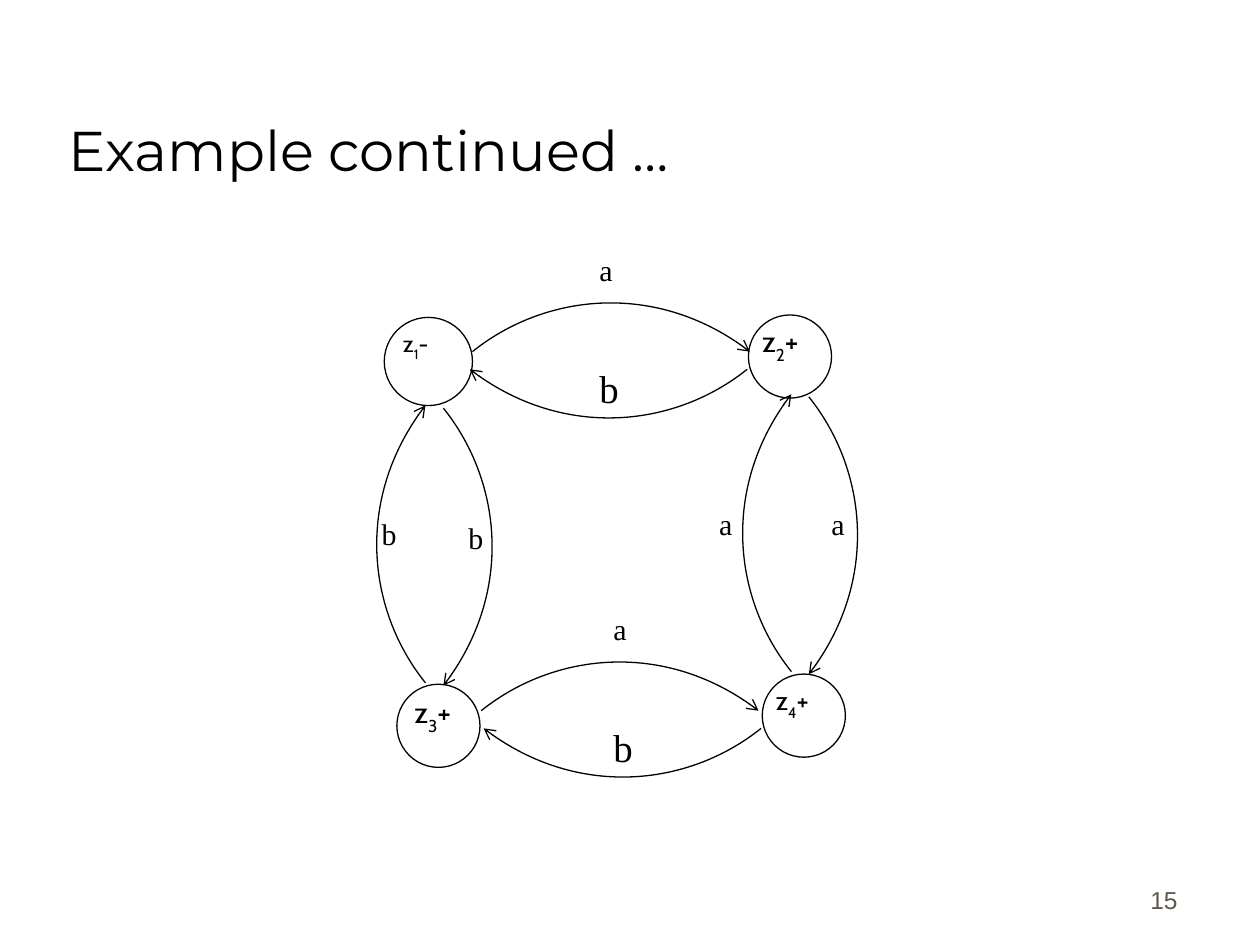
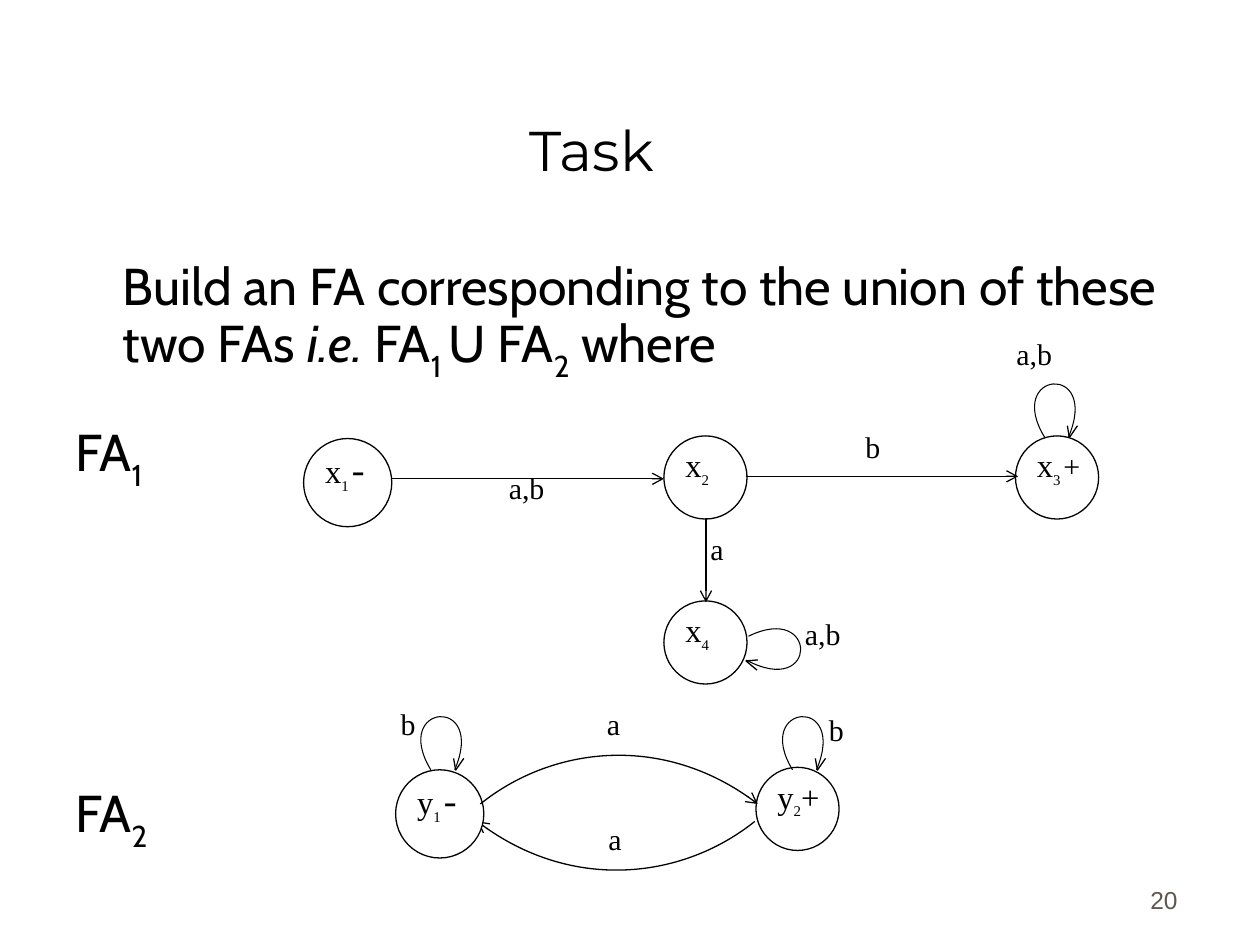
from dataclasses import dataclass
from math import cos, radians, sin

from lxml.etree import SubElement
from pptx import Presentation
from pptx.dml.color import RGBColor as Color
from pptx.enum.shapes import MSO_CONNECTOR as Link, MSO_SHAPE as Kind
from pptx.enum.text import MSO_ANCHOR as Anchor, MSO_AUTO_SIZE as Fit, PP_ALIGN as Align
from pptx.oxml.ns import qn
from pptx.util import Pt


@dataclass(frozen=True)
class Theme:
    ink: Color = Color(0, 0, 0)
    paper: Color = Color(255, 255, 255)
    grey: Color = Color(0x5E, 0x57, 0x4E)
    head: str = "Montserrat"
    body: str = "Cabin"
    serif: str = "Times New Roman"
    foot: str = "Arial"
    title: float = 32
    lead: float = 29.6
    big: float = 22.2
    state: float = 18.6
    edge: float = 17.1
    index: float = 14.7
    page: float = 14
    gap: float = 10.1
    line: float = 0.75
    thin: float = 0.6


T = Theme()

# Offsets from the starting point, heading right
ARC = [(0, 0), (40.5, -32.5), (106, -40.5), (158.5, 0)]
LOOP = [(0, 0), (-23, -38), (32, -43), (13.7, 0)]
BARB = [(18.8, -6.5), (14.2, 0.2), (13, -6.5)]
RIGHT, DOWN, LEFT, UP = 0, 90, 180, 270
BIG, SMALL = 50.4, 47.5


def write(para, runs, font=T.serif, size=T.edge, color=T.ink,
          align=Align.LEFT, pitch=0.8, before=0):
    """Fill a paragraph; a run is a string or a (string, changes) pair."""
    para.alignment = align
    para.line_spacing = pitch
    para.space_before = Pt(before)
    for item in runs:
        words, change = (item, {}) if isinstance(item, str) else item
        run = para.add_run()
        run.text = words
        run.font.name = change.get("font", font)
        run.font.size = Pt(change.get("size", size))
        run.font.italic = change.get("italic", False)
        run.font.color.rgb = color
        if change.get("sub"):
            run._r.get_or_add_rPr().set("baseline", "-30000")


def sub(words, **change):
    return words, {"sub": True, **change}


def frame(slide, x, y, wide, high, anchor=Anchor.TOP):
    box = slide.shapes.add_textbox(Pt(x), Pt(y), Pt(wide), Pt(high)).text_frame
    box.word_wrap = True
    box.vertical_anchor = anchor
    return box


def label(slide, x, y, runs, **look):
    write(frame(slide, x, y, 72, 30).paragraphs[0], runs, **look)


def start(deck, title, page, align=Align.LEFT):
    """Add a slide with its title and page number."""
    slide = deck.slides.add_slide(deck.slide_layouts[5])
    head = slide.shapes.title
    head.left, head.top, head.width, head.height = Pt(32), Pt(18), Pt(612), Pt(90)
    head.text_frame.auto_size = Fit.NONE
    head.text_frame.vertical_anchor = Anchor.BOTTOM
    write(head.text_frame.paragraphs[0], [title], font=T.head, size=T.title,
          align=align, pitch=1)
    foot = frame(slide, 530, 490.3, 150, 36, Anchor.BOTTOM)
    write(foot.paragraphs[0], [page], font=T.foot, size=T.page, color=T.grey,
          align=Align.RIGHT, pitch=1)
    return slide


def stroke(shape, width=T.line, arrow=False):
    shape.line.color.rgb = T.ink
    shape.line.width = Pt(width)
    if arrow:
        SubElement(shape.element.spPr.find(qn("a:ln")), qn("a:tailEnd"), type="arrow")


def ring(slide, x, y, size):
    disc = slide.shapes.add_shape(Kind.OVAL, Pt(x), Pt(y), Pt(size), Pt(size))
    disc.shadow.inherit = False
    disc.fill.solid()
    disc.fill.fore_color.rgb = T.paper
    stroke(disc)


def trace(slide, x, y, steps, turn):
    """Draw an open outline through the offsets, turned clockwise about (x, y)."""
    c, s = cos(radians(turn)), sin(radians(turn))
    spots = [(Pt(x + a * c - b * s), Pt(y + a * s + b * c)) for a, b in steps]
    pen = slide.shapes.build_freeform(*spots[0], scale=1.0)
    pen.add_line_segments(spots[1:], close=False)
    shape = pen.convert_to_shape()
    shape.shadow.inherit = False
    shape.fill.background()
    return shape


def bend(shape):
    """Turn the three line segments of an outline into one cubic curve."""
    legs = list(shape.element.iter(qn("a:lnTo")))
    curve = SubElement(legs[0].getparent(), qn("a:cubicBezTo"))
    for leg in legs:
        curve.append(leg[0])
        leg.getparent().remove(leg)


def arc(slide, x, y, turn):
    shape = trace(slide, x, y, ARC, turn)
    bend(shape)
    stroke(shape, arrow=True)


def loop(slide, x, y, turn=0):
    shape = trace(slide, x, y, LOOP, turn)
    bend(shape)
    stroke(shape, T.thin)
    stroke(trace(slide, x, y, BARB, turn))


def arrow(slide, x1, y1, x2, y2):
    line = slide.shapes.add_connector(Link.STRAIGHT, Pt(x1), Pt(y1), Pt(x2), Pt(y2))
    stroke(line, arrow=True)
    SubElement(line.element.spPr, qn("a:effectLst"))


def cycle(deck):
    slide = start(deck, "Example continued …", "15")
    for x, y, size in [(219.6, 181.4, BIG), (427.7, 180, SMALL),
                       (226.8, 391, SMALL), (435.6, 385.2, SMALL)]:
        ring(slide, x, y, size)
    for x, y, turn in [(270, 200.9, RIGHT), (427, 211, LEFT),
                       (275, 406.1, RIGHT), (434.9, 416.2, LEFT),
                       (243.1, 390.2, UP), (253.4, 233.3, DOWN),
                       (452.2, 383.8, UP), (462.2, 226.8, DOWN)]:
        arc(slide, x, y, turn)
    for x, y, name in [(335.5, 144, "a"), (343.4, 349.2, "a"),
                       (211, 295.2, "b"), (260.6, 297.4, "b"),
                       (403.9, 289.4, "a"), (468, 289.4, "a")]:
        label(slide, x, y, [name])
    for x, y in [(335.5, 208.1), (343.4, 413.3)]:
        label(slide, x, y, ["b"], size=T.big, pitch=0.9)
    for x, y, num, sign, size in [(223.2, 185.8, "1", "-", 13.2),
                                  (428.4, 182.9, "2", "+", 16.8),
                                  (229.7, 394.6, "3", "+", 16.8),
                                  (436.3, 388.8, "4", "+", 15)]:
        label(slide, x, y, ["z", sub(num), sign], font=T.body, size=size)


def brief(slide):
    box = frame(slide, 36, 148.3, 643.7, 328.3)
    task = ["Build an FA corresponding to the union of these two FAs ",
            ("i.e. ", {"italic": True}), "FA", sub("1 "), "U FA", sub("2"), " where"]
    look = {"font": T.body, "size": T.lead}
    write(box.paragraphs[0], task, **look)
    box.paragraphs[0]._p.get_or_add_pPr().set("marL", str(Pt(27)))
    for num, before in [("1", 28.8), ("2", 172.8)]:
        write(box.add_paragraph(), ["FA", sub(num)], before=before, **look)


def union(deck):
    slide = start(deck, "Task", "20", Align.CENTER)
    brief(slide)
    arc(slide, 431.3, 469.4, LEFT)

    gap = sub(" ", size=T.gap)
    minus = ("-", {"font": T.body})
    for x, y, size, name, num, sign in [
            (173.5, 250.6, BIG, "x", "1", [gap, minus]),
            (379.4, 249.1, SMALL, "x", "2", []),
            (580.3, 249.1, SMALL, "x", "3", [gap, ("+", {"size": T.edge})]),
            (379.4, 343.4, SMALL, "x", "4", []),
            (226.1, 439.9, BIG, "y", "1", [gap, minus]),
            (432, 438.5, SMALL, "y", "2", ["+"])]:
        ring(slide, x, y, size)
        label(slide, x + 5.2, y + 4.6 + (size == BIG) * 1.8,
              [name, sub(num, size=T.index), *sign], size=T.state)

    arrow(slide, 223.5, 273.6, 379.4, 273.6)
    arrow(slide, 426.5, 272.2, 581.8, 272.2)
    arrow(slide, 403.4, 296, 403.4, 344.2)
    arc(slide, 274.5, 459.4, RIGHT)
    loop(slide, 596.9, 249.8)
    loop(slide, 427.7, 363.6, 95)
    loop(slide, 246.2, 439.9)
    loop(slide, 452.9, 439.9)

    for x, y, name in [(573.8, 192.2, "a,b"), (487.4, 245.5, "b"),
                       (283.7, 268.6, "a,b"), (452.9, 352.1, "a,b"),
                       (398.9, 303.8, "a"), (339.8, 403.9, "a"),
                       (340.6, 469.4, "a"), (466.6, 406.8, "b"),
                       (221.8, 403.9, "b")]:
        label(slide, x, y, [name])


def main():
    deck = Presentation()
    deck.slide_width, deck.slide_height = Pt(720), Pt(540)
    cycle(deck)
    union(deck)
    deck.save("out.pptx")


if __name__ == "__main__":
    main()
